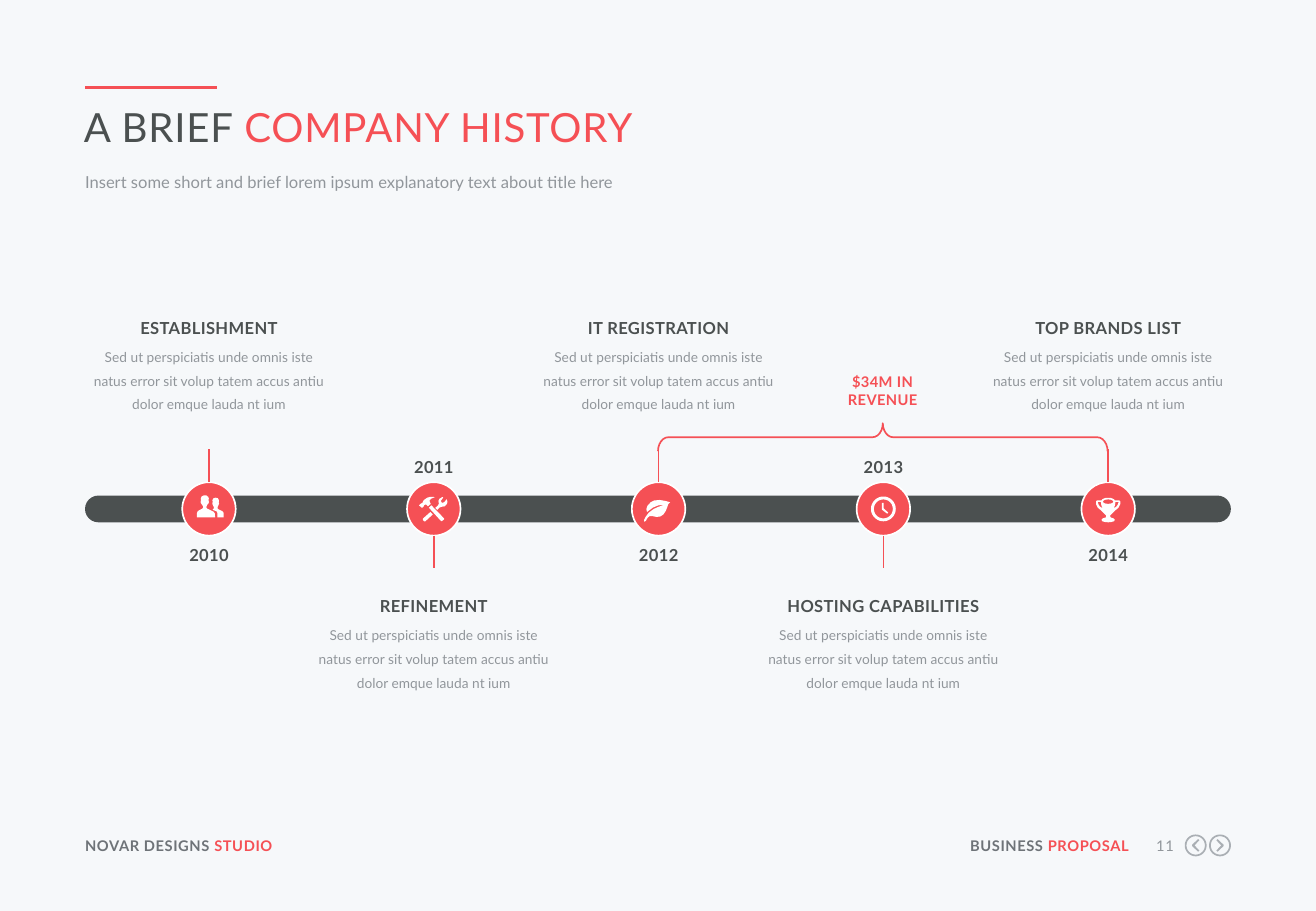
from math import cos, pi, sin

from pptx import Presentation
from pptx.dml.color import RGBColor
from pptx.enum.shapes import MSO_CONNECTOR, MSO_SHAPE as Preset
from pptx.enum.text import MSO_AUTO_SIZE as AutoSize, PP_ALIGN as Align
from pptx.oxml.ns import qn
from pptx.util import Pt

PX = 9144
ICON_UNIT = PX / 10

PAPER = RGBColor(0xF6, 0xF8, 0xFA)
CORAL = RGBColor(0xF5, 0x50, 0x55)
SLATE = RGBColor(0x4B, 0x50, 0x50)
STEEL = RGBColor(0x6E, 0x73, 0x78)
GREY = RGBColor(0x91, 0x96, 0x9B)
SILVER = RGBColor(0xAA, 0xAF, 0xB4)
WHITE = RGBColor(0xFF, 0xFF, 0xFF)

STEP, DOT, LABEL_WIDTH = 185, 44, 190
STORY = ("Sed ut perspiciatis unde omnis iste natus error sit volup tatem "
         "accus antiu dolor emque lauda nt ium")


def ring(radius_x, radius_y, center_y=0, count=48):
    """Return the points of an ellipse around the icon's axis."""
    angles = [2 * pi * i / count for i in range(count)]
    return [(round(radius_x * cos(a)), round(center_y + radius_y * sin(a))) for a in angles]


def mirror(points):
    """Return the points flipped left to right."""
    return [(-x, y) for x, y in points]


PEOPLE = [
    [(50, 70), (-100, 70), (-100, 35), (-92, 18), (-75, 8), (-55, -2), (-48, -12),
     (-50, -22), (-60, -38), (-66, -45), (-70, -58), (-66, -66), (-68, -85), (-60, -103),
     (-40, -112), (-20, -110), (-6, -98), (-2, -85), (-4, -66), (0, -58), (-4, -45),
     (-12, -38), (-20, -22), (-22, -12), (-15, -2), (15, 12), (38, 24), (48, 38)],
    [(70, 70), (70, 35), (62, 20), (30, 8), (38, 0), (40, -15), (32, -30), (27, -45),
     (30, -55), (28, -72), (38, -88), (55, -92), (72, -88), (82, -72), (80, -55),
     (83, -45), (78, -30), (70, -15), (72, 0), (90, 10), (110, 18), (120, 32), (120, 70)],
]
TOOLS = [
    [(-80, -30), (-65, -38), (-48, -22), (-25, -42), (-32, -55), (-35, -70), (-20, -85),
     (10, -98), (-30, -100), (-55, -92), (-75, -78), (-90, -62), (-92, -50), (-105, -45),
     (-120, -32), (-120, -28), (-100, -10), (-95, -10), (-85, -18)],
    [(-20, -30), (-40, -10), (60, 100), (68, 100), (85, 85), (85, 78)],
    [(110, -70), (105, -80), (90, -60), (75, -50), (62, -55), (60, -70), (72, -85),
     (78, -95), (70, -98), (45, -82), (38, -65), (42, -45), (35, -30), (12, -8), (28, 8),
     (48, -12), (65, -18), (90, -22), (108, -40), (112, -58)],
    [(-90, 80), (-90, 90), (-78, 102), (-70, 102), (-8, 45), (-28, 25)],
]
LEAF = [
    [(95, -55), (80, -40), (72, -15), (60, 15), (40, 45), (15, 62), (-15, 66), (-45, 60),
     (-72, 58), (-90, 72), (-105, 98), (-118, 105), (-120, 92), (-108, 68), (-80, 30),
     (-40, 0), (0, -18), (45, -32), (0, -30), (-45, -12), (-95, 25), (-100, 0), (-92, -25),
     (-65, -55), (-35, -70), (10, -74), (60, -65)],
]
CLOCK = [ring(102, 102), ring(78, 78),
         [(3, -4), (40, 30), (32, 40), (-12, 6), (-12, -50), (3, -50)]]
CUP_SIDE = [(0, 110), (-25, 108), (-48, 102), (-55, 90), (-45, 78), (-20, 70), (-15, 55),
            (-30, 40), (-55, 15), (-85, -10), (-100, -40), (-100, -62), (-92, -70),
            (-55, -70), (-48, -80), (-25, -90), (0, -92)]
CUP_HANDLE = [(-60, -58), (-86, -58), (-80, -38), (-68, -20), (-46, -5), (-56, -30)]
TROPHY = [CUP_SIDE + mirror(CUP_SIDE[::-1]), CUP_HANDLE, mirror(CUP_HANDLE), ring(42, 18, -60)]
CHEVRON = [(-30, -42), (10, 0), (-30, 42), (-20, 52), (30, 5), (30, -5), (-20, -52)]
BUTTON = [ring(90, 90), ring(76, 76)]

MILESTONES = [
    ("2010", "ESTABLISHMENT", PEOPLE, True),
    ("2011", "REFINEMENT", TOOLS, False),
    ("2012", "IT REGISTRATION", LEAF, True),
    ("2013", "HOSTING CAPABILITIES", CLOCK, False),
    ("2014", "TOP BRANDS LIST", TROPHY, True),
]


def add_text(slide, box, parts, size, align=Align.LEFT, bold=False, spacing=0, line=None,
             after=None, grow=True):
    """Add a text box holding one paragraph of (text, colour) parts."""
    frame = slide.shapes.add_textbox(*(n * PX for n in box)).text_frame
    frame.margin_left = frame.margin_right = frame.margin_top = frame.margin_bottom = 0
    frame.word_wrap = True
    frame.auto_size = AutoSize.SHAPE_TO_FIT_TEXT if grow else AutoSize.NONE
    paragraph = frame.paragraphs[0]
    paragraph.alignment = align
    if line:
        paragraph.line_spacing = Pt(line)
    if after:
        paragraph.space_after = Pt(after)
    for text, colour in parts:
        run = paragraph.add_run()
        run.text = text
        run.font.name, run.font.size, run.font.bold = "Lato", Pt(size), bold
        run.font.color.rgb = colour
        if spacing:
            run._r.get_or_add_rPr().set("spc", str(spacing))


def add_line(slide, start, end, width):
    """Add a straight coral line."""
    line = slide.shapes.add_connector(MSO_CONNECTOR.STRAIGHT, *(n * PX for n in start + end))
    line.line.color.rgb, line.line.width = CORAL, Pt(width)
    properties = line._element.spPr
    properties.append(properties.makeelement(qn("a:effectLst"), {}))


def paint(shape, fill=None, outline=None):
    """Set the fill and the one-point outline, or remove them."""
    shape.shadow.inherit = False
    if fill is None:
        shape.fill.background()
    else:
        shape.fill.solid()
        shape.fill.fore_color.rgb = fill
    if outline is None:
        shape.line.fill.background()
    else:
        shape.line.color.rgb, shape.line.width = outline, Pt(1)


def add_preset(slide, preset, box, fill=None, outline=None):
    """Add a painted preset shape."""
    shape = slide.shapes.add_shape(preset, *(n * PX for n in box))
    paint(shape, fill, outline)
    return shape


def add_icon(slide, center, contours, colour):
    """Draw the contours as one freeform around a centre."""
    builder = slide.shapes.build_freeform(*contours[0][0], scale=ICON_UNIT)
    builder.add_line_segments(contours[0][1:])
    for contour in contours[1:]:
        builder.move_to(*contour[0])
        builder.add_line_segments(contour[1:])
    paint(builder.convert_to_shape(*(n * PX for n in center)), colour)


def add_header(slide, x, y, width):
    """Place the accent rule, the title and the subtitle."""
    add_line(slide, (x, y), (x + 109, y), 2.25)
    add_text(slide, (x - 1, y + 12, width, 41),
             [("A BRIEF ", SLATE), ("COMPANY HISTORY", CORAL)], 23.8, spacing=50, grow=False)
    add_text(slide, (x, y + 68, width, 21),
             [("Insert some short and brief lorem ipsum explanatory text about title here", GREY)],
             9.8, line=13, grow=False)


def add_footer(slide, x, y, width):
    """Place the studio name, the document name, the page number and the buttons."""
    right = x + width
    add_text(slide, (x, y, 211, 15), [("NOVAR DESIGNS ", STEEL), ("STUDIO", CORAL)],
             8.7, bold=True, spacing=30)
    add_text(slide, (right - 221, y, 137, 15), [("BUSINESS ", STEEL), ("PROPOSAL", CORAL)],
             8.7, Align.RIGHT, True, 30)
    add_text(slide, (right - 72, y, 25, 15), [("11", GREY)], 8.7, Align.RIGHT, spacing=30)
    for offset, chevron in ((29, mirror(CHEVRON)), (9, CHEVRON)):
        add_icon(slide, (right - offset, y + 7), BUTTON + [chevron], SILVER)


def add_milestone(slide, x, y, year, title, icon, above):
    """Place one milestone around its point on the track."""
    radius = DOT // 2
    story_y, year_y, side = (y - 157, y + 30, -1) if above else (y + 72, y - 43, 1)
    left = x - LABEL_WIDTH // 2
    add_text(slide, (x - 24, year_y, 48, 16), [(year, SLATE)], 9.8, Align.CENTER, True, 20)
    add_text(slide, (left, story_y, LABEL_WIDTH, 16), [(title, SLATE)], 9.8,
             Align.CENTER, True, 20)
    add_text(slide, (left, story_y + 19, LABEL_WIDTH, 59), [(STORY, GREY)], 8.1,
             Align.CENTER, line=14.1, after=6.5)
    add_preset(slide, Preset.OVAL, (x - radius, y - radius, DOT, DOT), CORAL, WHITE)
    add_line(slide, (x, y + side * radius), (x, y + side * 49), 1)
    add_icon(slide, (x, y), icon, WHITE)


def add_timeline(slide, x, y, width):
    """Place the track, the revenue brace and all milestones."""
    first = x + 102
    revenue = first + 3 * STEP
    brace = add_preset(slide, Preset.LEFT_BRACE, (revenue - 12, y - 244, 23, 2 * STEP),
                       outline=CORAL)
    brace.rotation = 90
    brace.adjustments[0] = 0.37
    track = add_preset(slide, Preset.ROUNDED_RECTANGLE, (x, y - 11, width, 22), SLATE)
    track.adjustments[0] = 0.5
    for index, milestone in enumerate(MILESTONES):
        add_milestone(slide, first + index * STEP, y, *milestone)
    add_text(slide, (revenue - 44, y - 112, 87, 29), [("$34M IN REVENUE", CORAL)], 8.7,
             Align.CENTER, True, 20)


def main():
    """Build the company history slide."""
    presentation = Presentation()
    presentation.slide_width, presentation.slide_height = 1083 * PX, 750 * PX
    slide = presentation.slides.add_slide(presentation.slide_layouts[6])
    slide.background.fill.solid()
    slide.background.fill.fore_color.rgb = PAPER
    add_header(slide, 70, 72, 942)
    add_timeline(slide, 70, 419, 943)
    add_footer(slide, 70, 689, 943)
    presentation.save("out.pptx")


if __name__ == "__main__":
    main()
